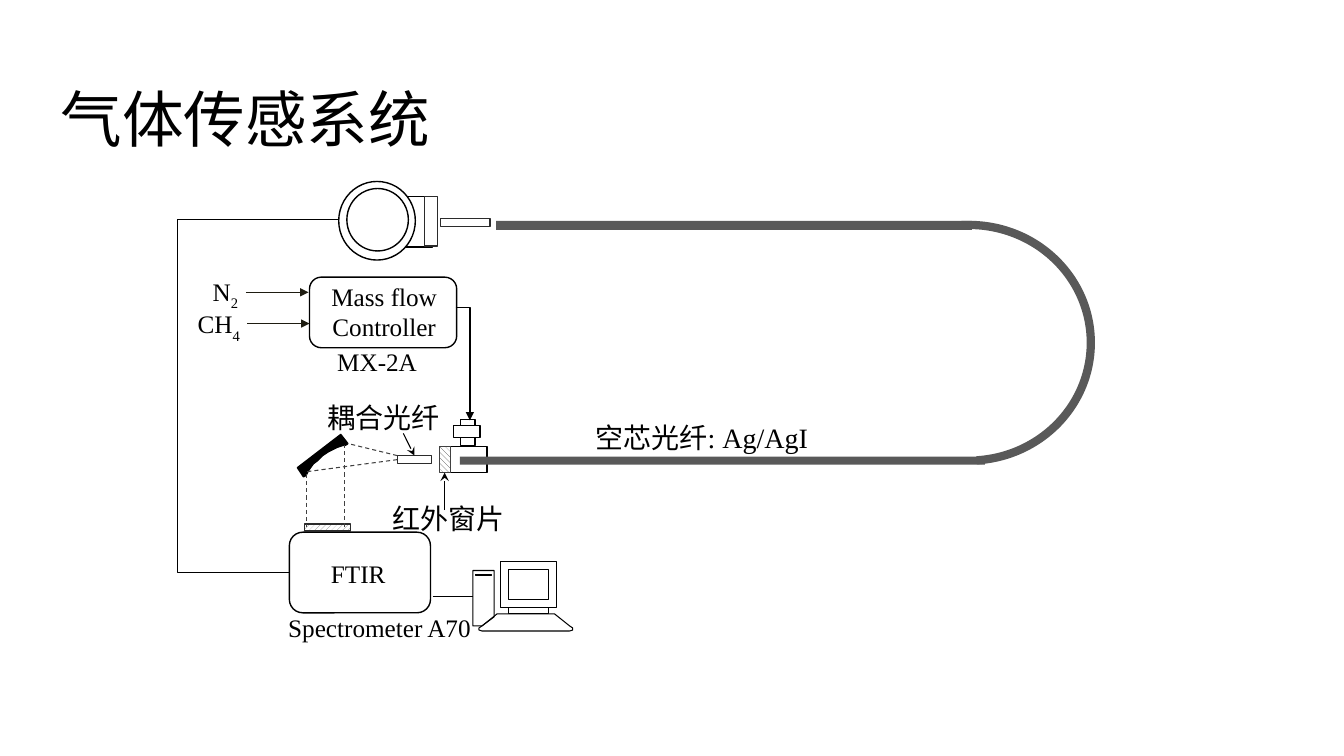
from dataclasses import dataclass
from typing import Optional

from lxml.etree import SubElement
from pptx import Presentation
from pptx.dml.color import RGBColor
from pptx.enum.dml import MSO_LINE, MSO_PATTERN
from pptx.enum.shapes import MSO_CONNECTOR, MSO_SHAPE
from pptx.enum.text import MSO_ANCHOR, MSO_AUTO_SIZE, PP_ALIGN
from pptx.oxml.ns import qn
from pptx.util import Pt

PX = 9144  # EMU per px, 100 px to the inch
Point = tuple[int, int]


@dataclass(frozen=True)
class Theme:
    black: str = "000000"
    white: str = "FFFFFF"
    outline: str = "2B2B2B"
    ray: str = "414141"
    hatch: str = "7F7F7F"
    gas: str = "1E1C11"
    fibre: str = "595959"
    title_size: int = 44
    chinese_size: int = 20
    label_size: int = 18
    title_font: str = "Calibri"
    chinese_font: str = "Arial"
    label_font: str = "Times New Roman"


THEME = Theme()


@dataclass(frozen=True)
class Block:
    area: tuple[int, int, int, int]
    kind: MSO_SHAPE = MSO_SHAPE.RECTANGLE
    fill: Optional[str] = THEME.white
    line: Optional[str] = THEME.black
    pattern: Optional[MSO_PATTERN] = None
    adjustments: tuple[float, ...] = ()
    rotation: int = 0


@dataclass(frozen=True)
class Wire:
    start: Point
    end: Point
    color: str = THEME.black
    width: float = 1
    arrow: Optional[str] = None
    dashed: bool = False
    bend: Optional[str] = None
    bend_ratio: Optional[float] = None


@dataclass(frozen=True)
class Label:
    area: tuple[int, int, int, int]
    text: str
    subscript: str = ""
    size: int = THEME.label_size
    font: str = THEME.label_font
    align: PP_ALIGN = PP_ALIGN.CENTER
    anchor: MSO_ANCHOR = MSO_ANCHOR.MIDDLE


ROUND = MSO_SHAPE.ROUNDED_RECTANGLE
BLOCKS = [
    # Spectrometer, its exit window and the flow controller
    Block((287, 528, 140, 80), ROUND, None, adjustments=(0.167,)),
    Block((302, 520, 46, 7), fill=THEME.hatch, line=THEME.outline,
          pattern=MSO_PATTERN.WIDE_UPWARD_DIAGONAL),
    Block((307, 275, 146, 70), ROUND, None, adjustments=(0.167,)),
    # Coupling fibre and gas cell
    Block((394, 452, 34, 8), line=THEME.outline),
    Block((457, 416, 14, 26)),
    Block((450, 422, 26, 12)),
    Block((438, 443, 45, 26)),
    Block((436, 443, 11, 26), fill=THEME.ray, line=THEME.ray,
          pattern=MSO_PATTERN.WIDE_DOWNWARD_DIAGONAL),
    # Detector
    Block((397, 195, 32, 50)),
    Block((437, 217, 49, 8), fill=None, line=THEME.outline),
    Block((421, 195, 13, 49), line=THEME.outline),
    Block((336, 180, 76, 78), MSO_SHAPE.OVAL),
    Block((344, 187, 61, 62), MSO_SHAPE.OVAL, None),
    # Hollow fibre: two straight runs and the turn
    Block((456, 453, 521, 8), fill=THEME.fibre, line=None),
    Block((492, 219, 472, 9), fill=THEME.fibre, line=None),
    Block((840, 215, 242, 250), MSO_SHAPE.BLOCK_ARC, THEME.fibre, None,
          adjustments=(104.938, 213.73, 0.034), rotation=90),
]

RAYS = [((304, 470), (304, 523)), ((342, 523), (342, 441)),
        ((394, 452), (345, 440)), ((394, 456), (304, 468))]
WIRES = [Wire(start, end, THEME.ray, 0.75, dashed=True) for start, end in RAYS] + [
    Wire((400, 430), (411, 452), width=0.75, arrow="stealth"),
    Wire((441, 506), (441, 469), arrow="stealth"),
    Wire((244, 290), (306, 290), THEME.gas, arrow="triangle"),
    Wire((245, 321), (307, 321), THEME.gas, arrow="triangle"),
    Wire((452, 305), (466, 417), arrow="triangle", bend="bentConnector2"),
    Wire((429, 592), (469, 592)),
    Wire((287, 568), (336, 218), width=0.5, bend="bentConnector3",
         bend_ratio=(176 - 287) / (336 - 287)),
]

CHINESE = {"size": THEME.chinese_size, "anchor": MSO_ANCHOR.TOP}
GAS = {"align": PP_ALIGN.LEFT, "anchor": MSO_ANCHOR.TOP}
LABELS = [
    Label((319, 397, 123, 34), "耦合光纤", font=THEME.chinese_font, **CHINESE),
    Label((372, 498, 146, 21), "红外窗片", font=THEME.chinese_font, **CHINESE),
    Label((582, 417, 228, 38), "空芯光纤: Ag/AgI", **CHINESE),
    Label((211, 274, 32, 40), "N", "2", **GAS),
    Label((196, 306, 50, 40), "CH", "4", **GAS),
    Label((307, 282, 148, 54), "Mass flow Controller"),
    Label((322, 345, 104, 27), "MX-2A"),
    Label((322, 551, 73, 35), "FTIR "),
    Label((281, 605, 191, 35), "Spectrometer A70"),
]


def rectangle(left: int, top: int, right: int, bottom: int) -> list[Point]:
    return [(left, top), (right, top), (right, bottom), (left, bottom)]


def curve(*controls: Point, steps: int = 8) -> list[Point]:
    """Points of a cubic curve, without its start."""
    points = []
    for step in range(1, steps + 1):
        t = step / steps
        weights = ((1 - t) ** 3, 3 * t * (1 - t) ** 2, 3 * t * t * (1 - t), t ** 3)
        points.append(tuple(round(sum(w * c[axis] for w, c in zip(weights, controls)), 2)
                            for axis in (0, 1)))
    return points


MIRROR = [[(338, 431), (345, 440),
           *curve((345, 440), (342, 443), (336, 441), (320, 452)),
           *curve((320, 452), (304, 465), (306, 471), (301, 473)), (295, 464)]]
COMPUTER = [
    [(478, 621), (469, 621), (469, 566), (490, 566), (490, 612)],  # tower
    rectangle(472, 570, 487, 571),
    rectangle(496, 557, 552, 603),  # monitor
    rectangle(504, 565, 544, 595),
    rectangle(504, 603, 544, 609),
    [(493, 609), (550, 609), (565, 621), (568, 623), (568, 625), (565, 626),
     (478, 626), (475, 625), (475, 623), (478, 621)],  # keyboard
]


def paint(shape, fill: Optional[str], line: Optional[str], width: float = 1) -> None:
    shape.shadow.inherit = False
    if fill:
        shape.fill.solid()
        shape.fill.fore_color.rgb = RGBColor.from_string(fill)
    else:
        shape.fill.background()
    if line:
        shape.line.color.rgb = RGBColor.from_string(line)
        shape.line.width = Pt(width)
    else:
        shape.line.fill.background()


def draw_block(page, block: Block) -> None:
    shape = page.shapes.add_shape(block.kind, *(side * PX for side in block.area))
    paint(shape, block.fill, block.line)
    if block.pattern:
        shape.fill.patterned()
        shape.fill.pattern = block.pattern
        shape.fill.fore_color.rgb = RGBColor.from_string(block.fill)
        shape.fill.back_color.rgb = RGBColor.from_string(THEME.white)
    for index, value in enumerate(block.adjustments):
        shape.adjustments[index] = value
    shape.rotation = block.rotation


def draw_outline(page, contours: list[list[Point]], fill: str, width: float) -> None:
    builder = page.shapes.build_freeform(*contours[0][0], scale=PX)
    for contour in contours:
        builder.move_to(*contour[0])
        builder.add_line_segments(contour[1:], close=True)
    paint(builder.convert_to_shape(), fill, THEME.black, width)


def draw_wire(page, wire: Wire) -> None:
    kind = MSO_CONNECTOR.ELBOW if wire.bend else MSO_CONNECTOR.STRAIGHT
    connector = page.shapes.add_connector(
        kind, *(value * PX for value in wire.start + wire.end))
    connector.line.color.rgb = RGBColor.from_string(wire.color)
    connector.line.width = Pt(wire.width)
    if wire.dashed:
        connector.line.dash_style = MSO_LINE.DASH
    properties = connector.element.spPr
    if wire.arrow:
        SubElement(properties.find(qn("a:ln")), qn("a:tailEnd"), type=wire.arrow)
    if wire.bend:
        geometry = properties.find(qn("a:prstGeom"))
        geometry.set("prst", wire.bend)
        if wire.bend_ratio is not None:
            SubElement(geometry.find(qn("a:avLst")), qn("a:gd"), name="adj1",
                       fmla=f"val {round(wire.bend_ratio * 100000)}")
    SubElement(properties, qn("a:effectLst"))


def write(para, text: str, *, size: int, font: str, subscript: bool = False) -> None:
    span = para.add_run()
    span.text = text
    span.font.size = Pt(size)
    span.font.name = font
    span.font.color.rgb = RGBColor.from_string(THEME.black)
    if subscript:
        span.font._element.set("baseline", "-30000")


def draw_label(page, label: Label) -> None:
    frame = page.shapes.add_textbox(*(side * PX for side in label.area)).text_frame
    frame.word_wrap = True
    frame.vertical_anchor = label.anchor
    frame.margin_left = frame.margin_right = frame.margin_top = frame.margin_bottom = 0
    para = frame.paragraphs[0]
    para.alignment = label.align
    write(para, label.text, size=label.size, font=label.font)
    if label.subscript:
        write(para, label.subscript, size=label.size, font=label.font, subscript=True)


def draw_title(page, text: str) -> None:
    box = page.shapes.title
    box.left, box.top, box.width, box.height = (side * PX for side in (50, 63, 900, 117))
    box.text_frame.auto_size = MSO_AUTO_SIZE.NONE
    box.text_frame.vertical_anchor = MSO_ANCHOR.MIDDLE
    para = box.text_frame.paragraphs[0]
    para.alignment = PP_ALIGN.LEFT
    para.line_spacing = 0.9
    write(para, text, size=THEME.title_size, font=THEME.title_font)


def main() -> None:
    deck = Presentation()
    deck.slide_width, deck.slide_height = 1333 * PX, 750 * PX
    page = deck.slides.add_slide(deck.slide_layouts[5])
    draw_title(page, "气体传感系统")
    for block in BLOCKS:
        draw_block(page, block)
    draw_outline(page, MIRROR, THEME.black, 1)
    draw_outline(page, COMPUTER, THEME.white, 0.75)
    for wire in WIRES:
        draw_wire(page, wire)
    for label in LABELS:
        draw_label(page, label)
    deck.save("out.pptx")


if __name__ == "__main__":
    main()
